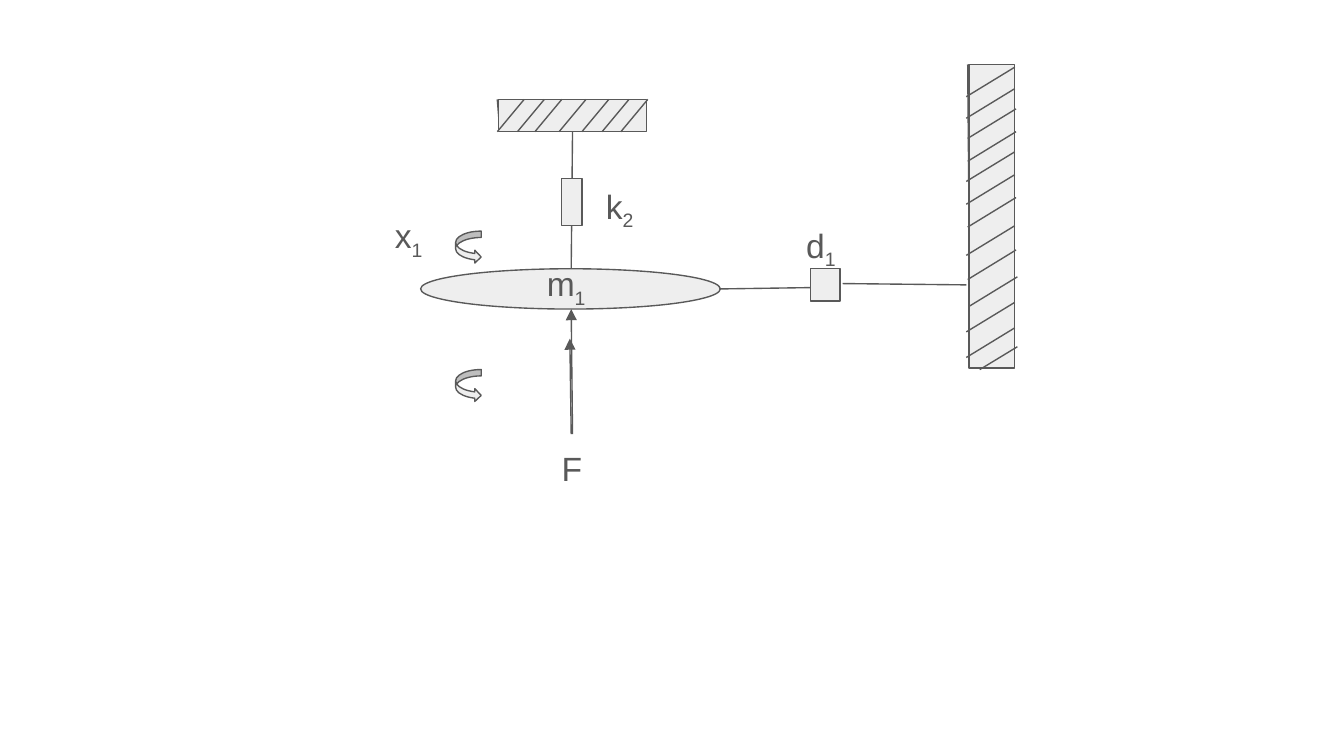
from dataclasses import dataclass

from lxml.etree import SubElement
from pptx import Presentation
from pptx.dml.color import RGBColor
from pptx.enum.shapes import MSO_CONNECTOR as Connector, MSO_SHAPE as Preset
from pptx.enum.text import MSO_ANCHOR as Anchor
from pptx.oxml.ns import qn
from pptx.slide import Slide
from pptx.util import Inches, Pt


@dataclass(frozen=True)
class Theme:
    ink: RGBColor = RGBColor(0x59, 0x59, 0x59)
    fill: RGBColor = RGBColor(0xEE, 0xEE, 0xEE)
    font: str = "Arial"
    label_size: Pt = Pt(18)
    stroke: Pt = Pt(0.75)
    subscript: str = "-25000"


@dataclass(frozen=True)
class Body:
    preset: Preset
    left: float
    top: float
    width: float
    height: float


@dataclass(frozen=True)
class Link:
    x1: float
    y1: float
    x2: float
    y2: float
    arrow: bool = False


@dataclass(frozen=True)
class Label:
    symbol: str
    index: str
    left: float
    top: float
    height: float = 0.58


THEME = Theme()
LABEL_FORMAT = {
    "word_wrap": True,
    "vertical_anchor": Anchor.TOP,
    "margin_left": Inches(0.1),
    "margin_right": Inches(0.1),
    "margin_top": Inches(0.1),
    "margin_bottom": Inches(0.1),
}
LETTER_FORMAT = {"name": THEME.font, "size": THEME.label_size}

MECHANISM = [
    Body(Preset.OVAL, 3.13, 2, 2.23, 0.3),
    Link(4.26, 0.98, 4.25, 2),
    Body(Preset.RECTANGLE, 4.18, 1.33, 0.15, 0.35),
    Link(5.35, 2.15, 6.04, 2.14),
    Body(Preset.RECTANGLE, 6.03, 2, 0.22, 0.24),
    Body(Preset.CURVED_RIGHT_ARROW, 3.39, 1.72, 0.19, 0.24),
    Link(4.26, 3.23, 4.25, 2.3, arrow=True),
    Link(4.25, 3.23, 4.24, 2.52, arrow=True),
    Body(Preset.CURVED_RIGHT_ARROW, 3.39, 2.75, 0.19, 0.24),
    Label("F", "", 4.08, 3.23, 0.79),
    Label("k", "2", 4.41, 1.28),
    Label("d", "1", 5.9, 1.57),
    Label("x", "1", 2.84, 1.5),
    Link(6.27, 2.11, 7.19, 2.12),
    Link(7.2, 0.48, 7.22, 2.74),
    Body(Preset.RECTANGLE, 7.21, 0.48, 0.34, 2.26),
    Label("m", "1", 3.97, 1.86),
    Link(3.7, 0.74, 3.72, 0.98),
    Body(Preset.RECTANGLE, 3.71, 0.74, 1.1, 0.24),
]

CEILING_HATCH = [
    Link(x, 0.98, x + 0.2, 0.74)
    for x in (3.85, 4.16, 3.98, 3.7, 4.48, 4.33, 4.62)
]
WALL_HATCH = [
    Link(x, y, x + 0.36, y - 0.22)
    for x, y in (
        (7.19, 0.72), (7.19, 0.88), (7.2, 1.03), (7.2, 1.2),
        (7.19, 1.35), (7.19, 1.52), (7.2, 1.69), (7.19, 1.9),
        (7.2, 2.08), (7.21, 2.28), (7.19, 2.47), (7.19, 2.66),
    )
] + [Link(7.29, 2.75, 7.57, 2.58)]


def draw_body(slide: Slide, body: Body) -> None:
    solid = slide.shapes.add_shape(
        body.preset, Inches(body.left), Inches(body.top),
        Inches(body.width), Inches(body.height),
    )
    solid.shadow.inherit = False
    solid.fill.solid()
    solid.fill.fore_color.rgb = THEME.fill
    solid.line.color.rgb = THEME.ink
    solid.line.width = THEME.stroke


def draw_link(slide: Slide, link: Link) -> None:
    rod = slide.shapes.add_connector(
        Connector.STRAIGHT, Inches(link.x1), Inches(link.y1),
        Inches(link.x2), Inches(link.y2),
    )
    rod.line.color.rgb = THEME.ink
    rod.line.width = THEME.stroke
    properties = rod._element.spPr
    if link.arrow:
        SubElement(properties.find(qn("a:ln")), qn("a:tailEnd"), type="triangle")
    SubElement(properties, qn("a:effectLst"))


def draw_label(slide: Slide, label: Label) -> None:
    frame = slide.shapes.add_textbox(
        Inches(label.left), Inches(label.top), Inches(0.5), Inches(label.height)
    ).text_frame
    for attribute, value in LABEL_FORMAT.items():
        setattr(frame, attribute, value)
    for text in filter(None, (label.symbol, label.index)):
        letter = frame.paragraphs[0].add_run()
        letter.text = text
        for attribute, value in LETTER_FORMAT.items():
            setattr(letter.font, attribute, value)
        letter.font.color.rgb = THEME.ink
        if text == label.index:
            letter._r.get_or_add_rPr().set("baseline", THEME.subscript)


DRAW = {Body: draw_body, Link: draw_link, Label: draw_label}


def main() -> None:
    deck = Presentation()
    deck.slide_width = Inches(10)
    deck.slide_height = Inches(10 * 9 / 16)
    slide = deck.slides.add_slide(deck.slide_layouts[6])
    for part in MECHANISM + CEILING_HATCH + WALL_HATCH:
        DRAW[type(part)](slide, part)
    deck.save("out.pptx")


if __name__ == "__main__":
    main()
